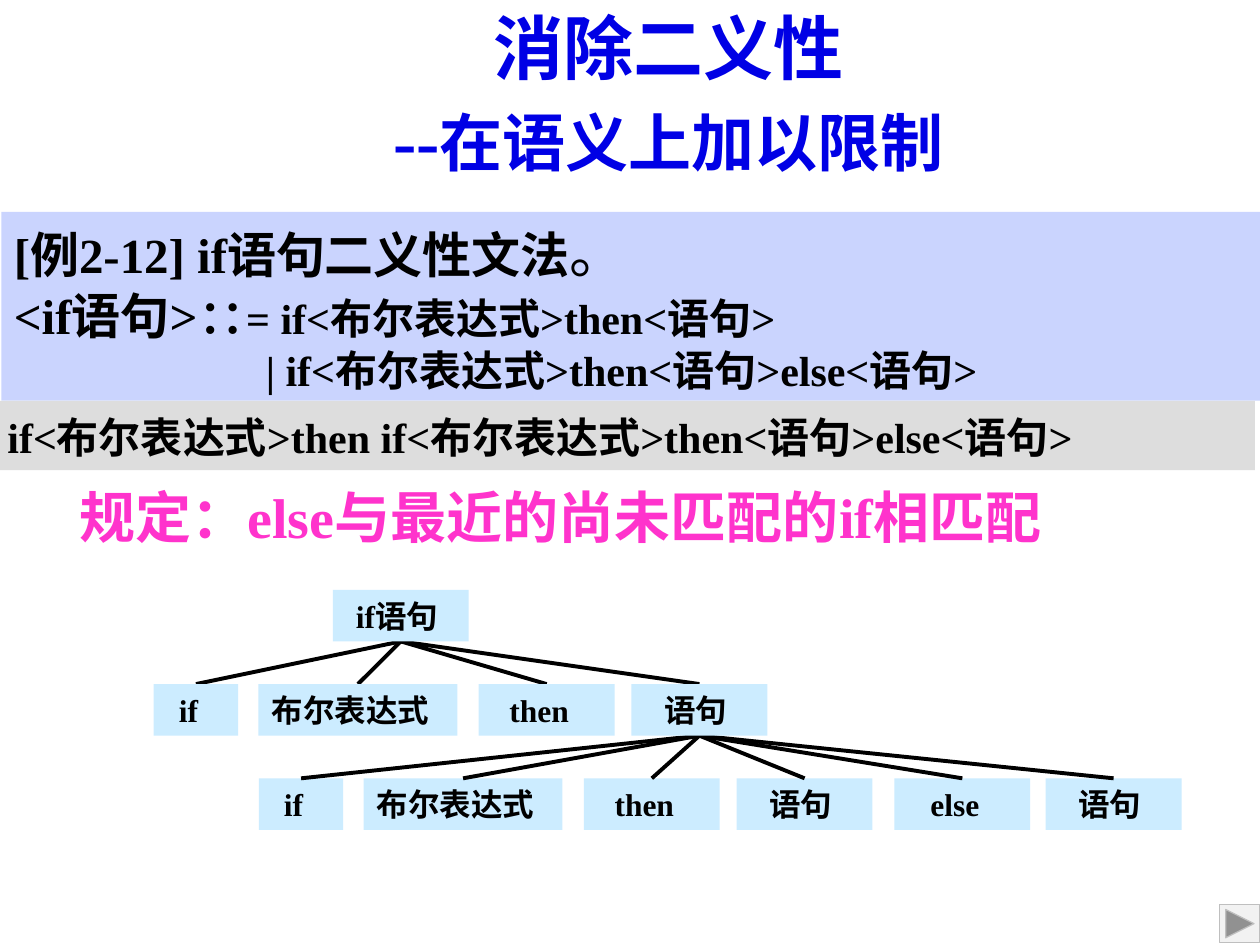
"""Build a slide on removing ambiguity from the if-statement grammar."""
import pptx
import pptx.dml.color
import pptx.enum.shapes
import pptx.enum.text
import pptx.oxml.ns
import pptx.util
from lxml import etree
from pptx.util import Cm

RGBColor = pptx.dml.color.RGBColor
Shape = pptx.enum.shapes.MSO_SHAPE
Align = pptx.enum.text.PP_ALIGN
Anchor = pptx.enum.text.MSO_ANCHOR

BLUE = RGBColor(0x00, 0x00, 0xE5)
BLACK = RGBColor(0x00, 0x00, 0x00)
PINK = RGBColor(0xFF, 0x33, 0xCC)
LAVENDER = RGBColor(0xCA, 0xD4, 0xFE)
GREY = RGBColor(0xDD, 0xDD, 0xDD)
SKY = RGBColor(0xCC, 0xEC, 0xFF)
BUTTON_FILL = RGBColor(0xF2, 0xF2, 0xF2)
BUTTON_LINE = RGBColor(0xBF, 0xBF, 0xBF)
LATIN_FONT = "Times New Roman"
CHINESE_FONT = "Noto Sans CJK SC"


def add_run(paragraph, text, size=24, color=BLACK, bold=True, font=LATIN_FONT):
    run = paragraph.add_run()
    run.text = text
    run.font.size = pptx.util.Pt(size)
    run.font.bold = bold
    run.font.color.rgb = color
    run.font.name = font
    properties = run.font._element
    etree.SubElement(properties, pptx.oxml.ns.qn("a:ea"), typeface=CHINESE_FONT)


class SlideBuilder:
    node_height = 1.04
    line_width = pptx.util.Pt(2.25)

    def __init__(self, presentation):
        self.slide = presentation.slides.add_slide(presentation.slide_layouts[5])
        self.tree = self.slide.shapes.add_group_shape()

    def title(self, lines, left, top, width, height):
        shape = self.slide.shapes.title
        shape.left, shape.top = Cm(left), Cm(top)
        shape.width, shape.height = Cm(width), Cm(height)
        shape.text_frame.word_wrap = True
        shape.text_frame.vertical_anchor = Anchor.MIDDLE
        paragraph = shape.text_frame.paragraphs[0]
        paragraph.alignment = Align.CENTER
        paragraph.line_spacing = 1.1
        for index, runs in enumerate(lines):
            if index:
                paragraph.add_line_break()
            for text, size in runs:
                add_run(paragraph, text, size=size, color=BLUE)

    def panel(self, left, top, width, height, fill=None, shapes=None, kind=Shape.RECTANGLE):
        shapes = shapes or self.slide.shapes
        shape = shapes.add_shape(kind, Cm(left), Cm(top), Cm(width), Cm(height))
        shape.shadow.inherit = False
        shape.line.fill.background()
        if fill is None:
            shape.fill.background()
        else:
            shape.fill.solid()
            shape.fill.fore_color.rgb = fill
        shape.text_frame.word_wrap = True
        return shape

    def text_box(self, left, top, width, height, text, spacing, **style):
        box = self.slide.shapes.add_textbox(Cm(left), Cm(top), Cm(width), Cm(height))
        box.text_frame.word_wrap = True
        paragraph = box.text_frame.paragraphs[0]
        paragraph.line_spacing = spacing
        add_run(paragraph, text, **style)
        return box

    def grammar(self, lines, left, top, width, height):
        frame = self.panel(left, top, width, height, fill=LAVENDER).text_frame
        frame.vertical_anchor = Anchor.TOP
        for index, (indent, runs) in enumerate(lines):
            paragraph = frame.add_paragraph() if index else frame.paragraphs[0]
            paragraph.alignment = Align.JUSTIFY
            paragraph._p.get_or_add_pPr().set("marL", str(Cm(indent)))
            for text, style in runs:
                add_run(paragraph, text, **style)

    def node(self, text, left, top, width, shift=0.3):
        shape = self.panel(left, top, width, self.node_height, fill=SKY, shapes=self.tree.shapes)
        frame = shape.text_frame
        frame.word_wrap = False
        frame.vertical_anchor = Anchor.MIDDLE
        frame.margin_right = Cm(0.25 + shift)
        paragraph = frame.paragraphs[0]
        paragraph.alignment = Align.CENTER
        add_run(paragraph, text, size=18)
        return shape

    def branch(self, parent, child):
        straight = pptx.enum.shapes.MSO_CONNECTOR.STRAIGHT
        line = self.tree.shapes.add_connector(straight, 0, 0, 0, 0)
        line.begin_connect(parent, 2)
        line.end_connect(child, 0)
        line.line.color.rgb = BLACK
        line.line.width = self.line_width
        etree.SubElement(line._element.spPr, pptx.oxml.ns.qn("a:effectLst"))

    def children(self, parent, top, nodes):
        shapes = [self.node(text, left, top, width, shift) for text, left, width, shift in nodes]
        for shape in shapes:
            self.branch(parent, shape)
        return shapes

    def next_button(self, left, top, width, height):
        kind = Shape.ACTION_BUTTON_FORWARD_OR_NEXT
        button = self.panel(left, top, width, height, fill=BUTTON_FILL, kind=kind)
        button.line.color.rgb = BUTTON_LINE
        button.line.width = pptx.util.Pt(0.75)


def main():
    presentation = pptx.Presentation()
    presentation.slide_width, presentation.slide_height = Cm(25.4), Cm(19.05)
    builder = SlideBuilder(presentation)

    builder.title([[("消除二义性", 40)], [("--", 40), ("在语义上加以限制", 36)]],
                  3.94, -0.23, 19.08, 4.01)
    large = {"size": 28}
    builder.grammar([
        (0, [("[例2-12] if语句二义性文法", large),
             ("。", {"size": 32, "bold": False, "font": CHINESE_FONT})]),
        (0, [("<if语句>∷", large), ("= if<布尔表达式>then<语句>", {})]),
        (5.08, [("| if<布尔表达式>then<语句>else<语句>", {})]),
    ], 0.03, 4.27, 25.4, 3.81)
    sentence = builder.text_box(-0.1, 8.08, 25.4, 1.4,
                                "if<布尔表达式>then if<布尔表达式>then<语句>else<语句>", 1.1)
    sentence.fill.solid()
    sentence.fill.fore_color.rgb = GREY
    builder.text_box(1.35, 9.75, 21.72, 1.5, "规定：else与最近的尚未匹配的if相匹配", 0.9,
                     size=32, color=PINK)

    first_top, row_step, row_shift = 11.89, 1.9, 2.12
    root = builder.node("if语句", 6.71, first_top, 2.74, 0.15)
    common = [("if", 3.1, 1.7, 0.3), ("布尔表达式", 5.21, 4.01, 0.3),
              ("then", 9.65, 2.74, 0.3), ("语句", 12.73, 2.74, 0.15)]
    inner = builder.children(root, first_top + row_step, common)[-1]
    shifted = [(text, left + row_shift, width, shift) for text, left, width, shift in common]
    tail = [("else", 18.03, 2.74, 0.3), ("语句", 21.08, 2.74, 0.15)]
    builder.children(inner, first_top + 2 * row_step, shifted + tail)

    builder.next_button(24.59, 18.24, 0.81, 0.76)
    presentation.save("out.pptx")


if __name__ == "__main__":
    main()
